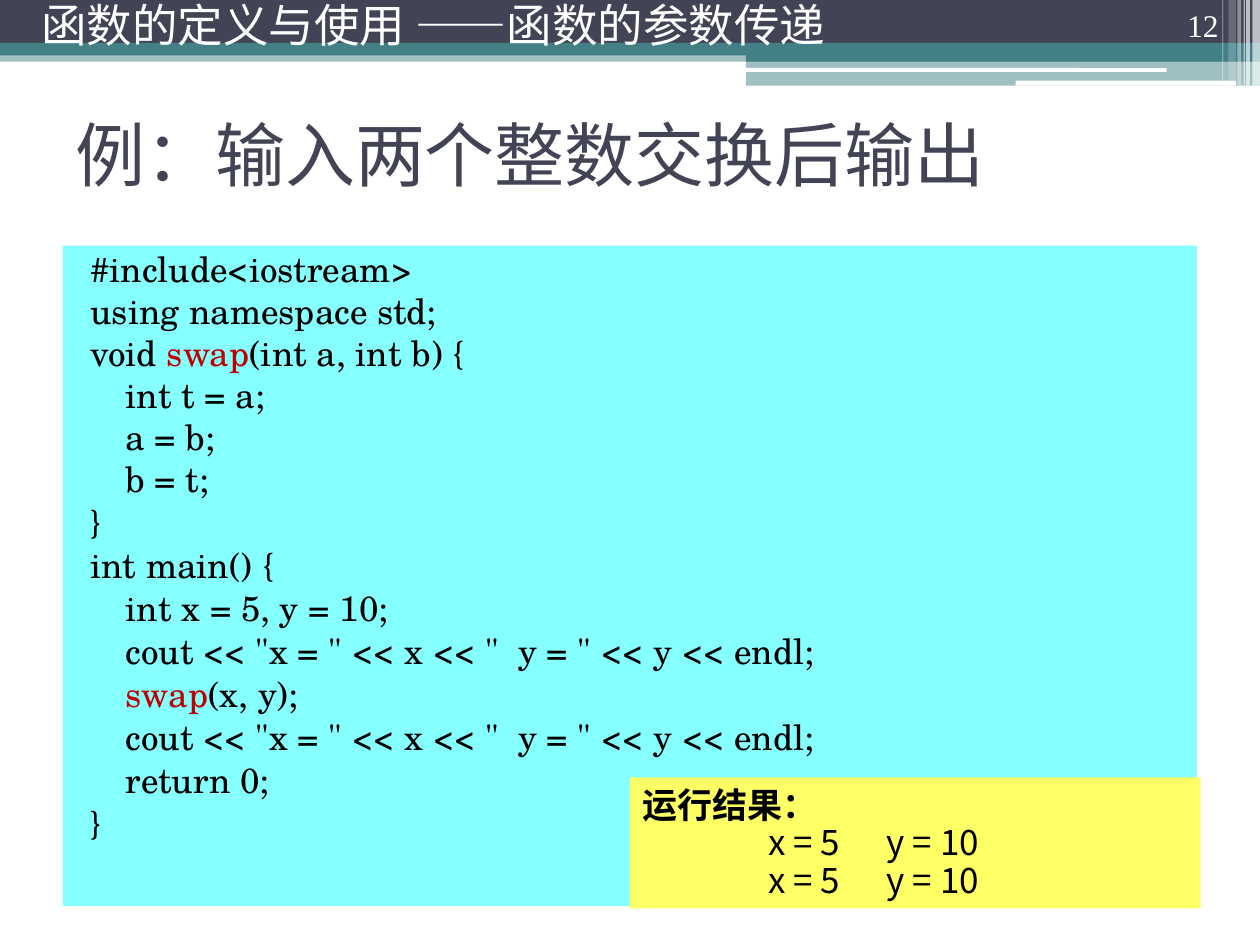
from lxml import etree
from pptx import Presentation
from pptx import util as u
from pptx.dml import color
from pptx.enum import shapes, text
from pptx.oxml import ns

HUES = {
    "ink": "424456",
    "teal": "438086",
    "white": "FFFFFF",
    "black": "000000",
    "red": "C00000",
    "cyan": "85FFFF",
    "yellow": "FFFF66",
}
SANS = "Noto Sans CJK SC"
SERIF = "TeX Gyre Schola"

BARS = [
    (0, 0.4, 10, 0.09, "teal", 50),
    (0, 0, 10, 0.34, "ink", 100),
    (0, 0.34, 10, 0.1, "teal", 100),
    (5.92, 0.39, 4.08, 0.1, "teal", 100),
    (5.92, 0.48, 4.08, 0.2, "teal", 50),
]
PILLS = [(5.91, 0.54, 3.35, 0.03), (8.06, 0.64, 1.75, 0.04)]
STRIPES = [
    (9.94, 0.06, 0.68, 65),
    (9.89, 0.03, 0.68, 65),
    (9.87, 0.01, 0.68, 60),
    (9.82, 0.03, 0.68, 40),
    (9.75, 0.06, 0.64, 20),
    (9.7, 0.01, 0.64, 30),
]

PRINT = '\tcout << "x = " << x << "  y = " << y << endl;'
SWAP = ("swap", "red")
CODE = [
    ["#include<iostream>"],
    ["using namespace std;"],
    ["void ", SWAP, "(int a, int b) {"],
    ["\tint t = a;"],
    ["\ta = b;"],
    ["\tb = t;"],
    ["}"],
    ["int main() {"],
    ["\tint x = 5, y = 10;"],
    [PRINT],
    ["\t", SWAP, "(x, y);"],
    [PRINT],
    ["\treturn 0;"],
    ["}"],
]
MAIN_ROW = 7


def rgb(hue):
    return color.RGBColor.from_string(HUES[hue])


def add_bar(slide, x, y, w, h, hue, alpha=100, kind=shapes.MSO_SHAPE.RECTANGLE):
    bar = slide.shapes.add_shape(
        kind, u.Inches(x), u.Inches(y), u.Inches(w), u.Inches(h))
    bar.shadow.inherit = False
    bar.line.fill.background()
    bar.fill.solid()
    bar.fill.fore_color.rgb = rgb(hue)
    if alpha < 100:
        tint = bar.fill._xPr.find(".//" + ns.qn("a:srgbClr"))
        etree.SubElement(tint, ns.qn("a:alpha"), val=str(alpha * 1000))
    return bar


def set_frame(shape, anchor):
    frame = shape.text_frame
    frame.word_wrap = True
    frame.vertical_anchor = anchor
    return frame


def add_run(para, words, size, face, hue, bold=False):
    run = para.add_run()
    run.text = words
    font = run.font
    font.size = u.Pt(size)
    font.name = face
    font.bold = bold
    font.color.rgb = rgb(hue)
    east = etree.SubElement(run._r.get_or_add_rPr(), ns.qn("a:ea"))
    east.set("typeface", SANS)


def next_para(frame, first):
    para = frame.paragraphs[0] if first else frame.add_paragraph()
    para.alignment = text.PP_ALIGN.LEFT
    return para


def add_tabs(para, stops):
    tabs = etree.SubElement(para._p.get_or_add_pPr(), ns.qn("a:tabLst"))
    for stop in stops:
        etree.SubElement(
            tabs, ns.qn("a:tab"), pos=str(int(u.Inches(stop))), algn="l")


def add_label(slide, x, y, w, h, words, size, face, hue, anchor,
              align=text.PP_ALIGN.LEFT, space=1.0):
    box = slide.shapes.add_textbox(
        u.Inches(x), u.Inches(y), u.Inches(w), u.Inches(h))
    para = set_frame(box, anchor).paragraphs[0]
    para.alignment = align
    para.line_spacing = space
    add_run(para, words, size, face, hue)


def add_band(slide):
    for bar in BARS:
        add_bar(slide, *bar)
    for pill in PILLS:
        add_bar(slide, *pill, "white", kind=shapes.MSO_SHAPE.ROUNDED_RECTANGLE)
    for x, w, h, alpha in STRIPES:
        add_bar(slide, x, 0, w, h, "white", alpha)


def add_code(slide):
    panel = add_bar(slide, 0.5, 1.95, 9, 5.24, "cyan")
    frame = set_frame(panel, text.MSO_ANCHOR.TOP)
    for row, parts in enumerate(CODE):
        para = next_para(frame, row == 0)
        para.line_spacing = 0.9
        if row:
            para.space_before = u.Pt(2.5 if row < MAIN_ROW else 3)
        props = para._p.get_or_add_pPr()
        props.set("marL", str(int(u.Inches(0.4))))
        props.set("indent", str(int(u.Inches(-0.28))))
        for part in parts:
            words, hue = (part, "black") if isinstance(part, str) else part
            add_run(para, words, 20, SERIF, hue)


def add_result(slide):
    panel = add_bar(slide, 5, 6.17, 4.53, 1.04, "yellow")
    frame = set_frame(panel, text.MSO_ANCHOR.TOP)
    add_run(next_para(frame, True), "运行结果：", 20, SANS, "black", True)
    for _ in range(2):
        para = next_para(frame, False)
        para.line_spacing = 0.9
        add_tabs(para, [1, 1.94])
        add_run(para, "\tx = 5\ty = 10", 20, SANS, "black")


def main():
    deck = Presentation()
    deck.slide_width = u.Inches(10)
    deck.slide_height = u.Inches(7.5)
    slide = deck.slides.add_slide(deck.slide_layouts[6])
    middle = text.MSO_ANCHOR.MIDDLE
    add_band(slide)
    add_label(slide, 0.5, 0.63, 9, 1.17, "例：输入两个整数交换后输出",
              40, "Lato", "ink", middle)
    add_code(slide)
    add_label(slide, 8.94, 0, 0.83, 0.4, "12", 18, "Times New Roman", "white",
              text.MSO_ANCHOR.BOTTOM, text.PP_ALIGN.RIGHT)
    add_label(slide, 0.23, 0, 8.83, 0.47, "函数的定义与使用 ——函数的参数传递",
              26, "Lato", "white", middle, space=0.8)
    add_result(slide)
    deck.save("out.pptx")


if __name__ == "__main__":
    main()
